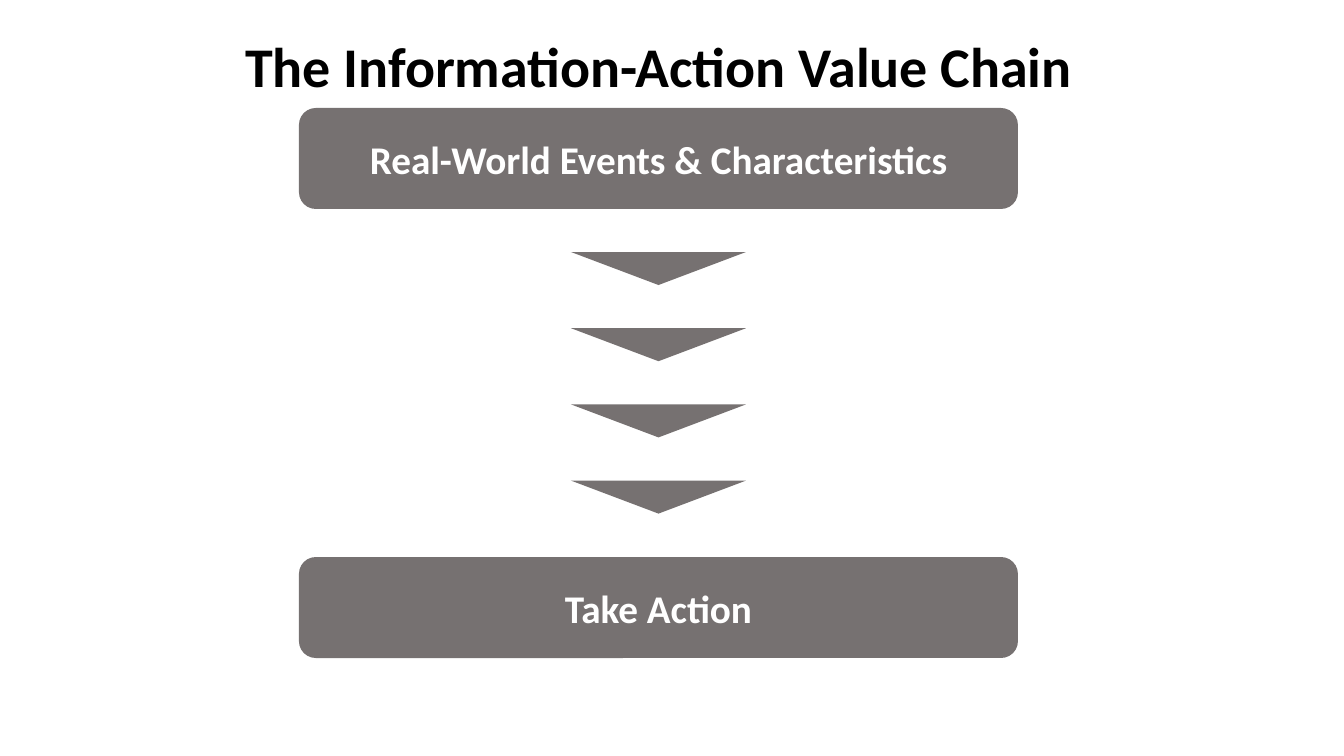
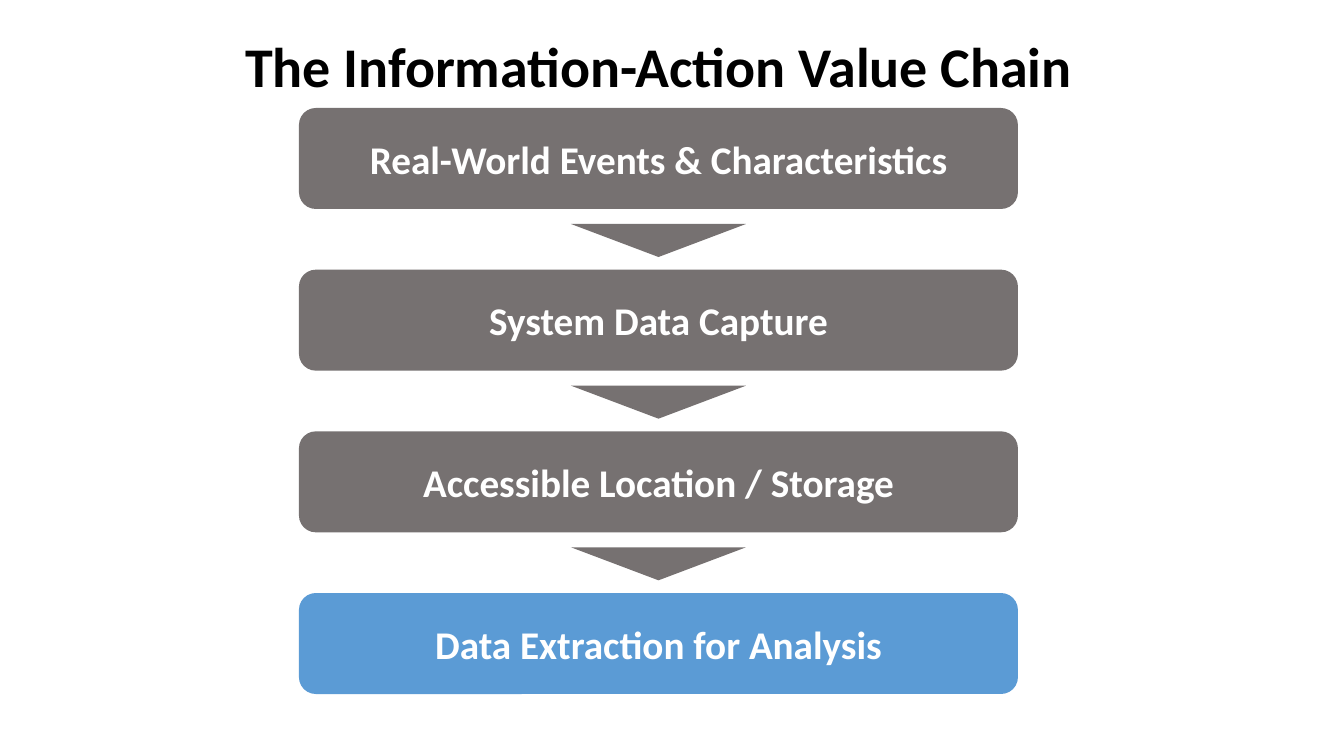
from pptx import Presentation
from pptx.dml.color import RGBColor
from pptx.enum.shapes import MSO_SHAPE
from pptx.enum.text import MSO_ANCHOR, MSO_AUTO_SIZE, PP_ALIGN
from pptx.util import Pt

# Shared style, lengths in px
EMU_PER_PX = 12192000 / 1344
COLORS = {"text": "000000", "label": "FFFFFF", "done": "767171", "current": "5B9BD5"}
FONT = "Calibri"
TITLE = "The Information-Action Value Chain"
STEP_LEFT, STEP_TOP, STEP_WIDTH, STEP_HEIGHT = 299, 108, 719, 101
ARROW_WIDTH, ARROW_HEIGHT = 175, 33
ARROW_LEFT = STEP_LEFT + (STEP_WIDTH - ARROW_WIDTH) / 2


def px(*lengths):
    return [round(length * EMU_PER_PX) for length in lengths]


def add_block(slide, preset, left, top, width, height, color):
    block = slide.shapes.add_shape(preset, *px(left, top, width, height))
    block.shadow.inherit = False
    block.fill.solid()
    block.fill.fore_color.rgb = RGBColor.from_string(COLORS[color])
    block.line.fill.background()
    return block


# Each slide: steps as (label, colour), top of the last step,
# arrows between neighbouring steps, distance from step to first arrow
chains = [
    ([("Real-World Events & Characteristics", "done"),
      ("Take Action", "done")], 557, 4, 43),
    ([("Real-World Events & Characteristics", "done"),
      ("System Data Capture", "done"),
      ("Accessible Location / Storage", "done"),
      ("Data Extraction for Analysis", "current")], 593, 1, 15),
]

prs = Presentation()
prs.slide_width, prs.slide_height = px(1344, 756)

for steps, last_top, arrows_per_gap, arrow_offset in chains:
    slide = prs.slides.add_slide(prs.slide_layouts[5])

    # Title
    title = slide.shapes.title
    title.left, title.top, title.width, title.height = px(177, 26, 963, 78)
    title.text_frame.text = TITLE
    title.text_frame.vertical_anchor = MSO_ANCHOR.TOP
    title.text_frame.auto_size = MSO_AUTO_SIZE.NONE
    heading = title.text_frame.paragraphs[0]
    heading.alignment = PP_ALIGN.CENTER
    heading.font.name, heading.font.size, heading.font.bold = FONT, Pt(40), True
    heading.font.color.rgb = RGBColor.from_string(COLORS["text"])

    # Steps at equal distances, with arrows below all but the last
    step_pitch = (last_top - STEP_TOP) / (len(steps) - 1)
    free_space = step_pitch - STEP_HEIGHT - arrows_per_gap * ARROW_HEIGHT
    arrow_pitch = ARROW_HEIGHT + free_space / (arrows_per_gap + 1)
    for index, (label, color) in enumerate(steps):
        top = STEP_TOP + index * step_pitch
        step = add_block(slide, MSO_SHAPE.ROUNDED_RECTANGLE,
                         STEP_LEFT, top, STEP_WIDTH, STEP_HEIGHT, color)
        step.text_frame.text = label
        step.text_frame.word_wrap = True
        step.text_frame.vertical_anchor = MSO_ANCHOR.MIDDLE
        caption = step.text_frame.paragraphs[0]
        caption.alignment = PP_ALIGN.CENTER
        caption.font.name, caption.font.size, caption.font.bold = FONT, Pt(28), True
        caption.font.color.rgb = RGBColor.from_string(COLORS["label"])

        if index < len(steps) - 1:
            first_arrow = top + STEP_HEIGHT + arrow_offset
            for number in range(arrows_per_gap):
                arrow = add_block(slide, MSO_SHAPE.ISOSCELES_TRIANGLE,
                                  ARROW_LEFT, first_arrow + number * arrow_pitch,
                                  ARROW_WIDTH, ARROW_HEIGHT, "done")
                arrow.rotation = 180

prs.save("out.pptx")
